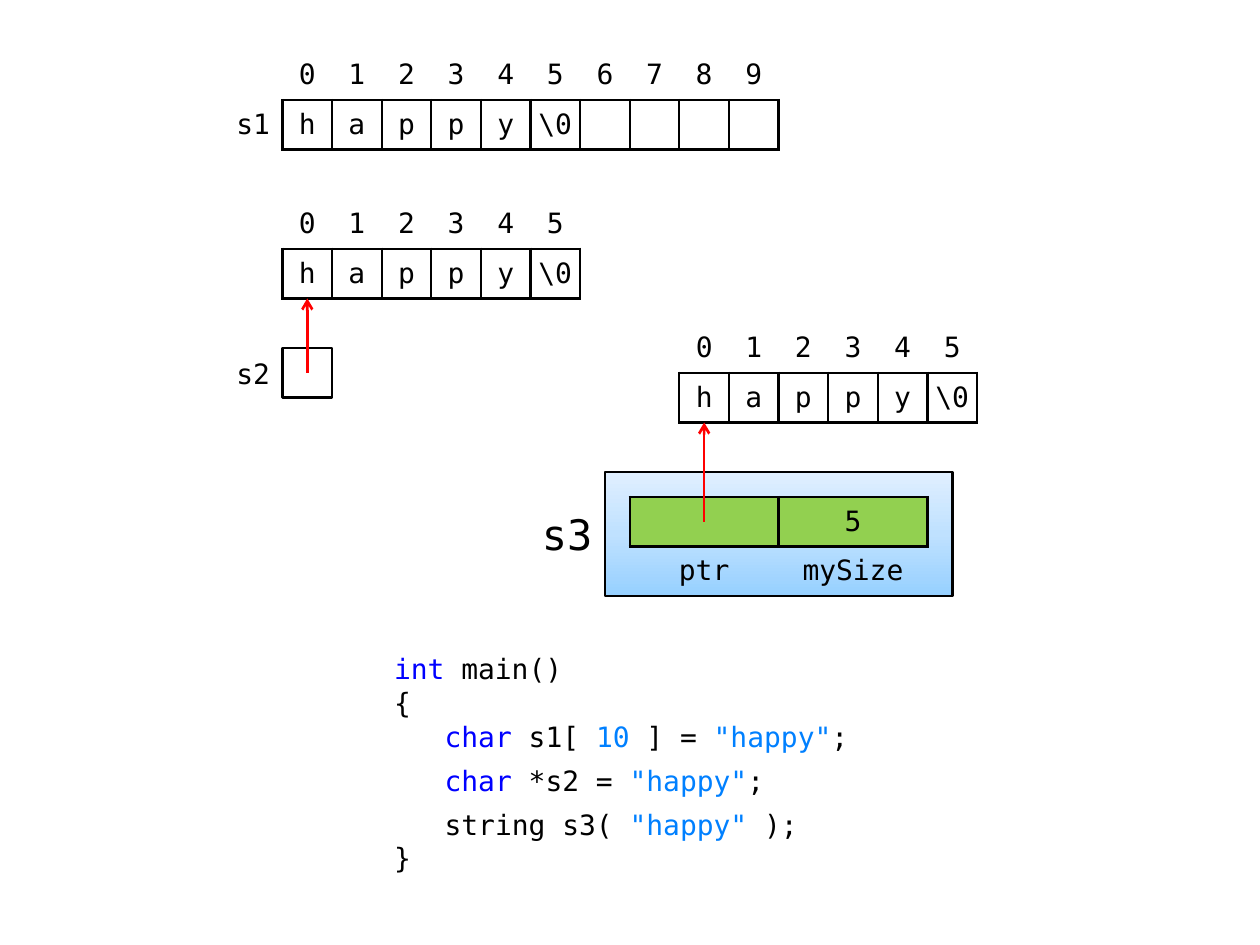
from copy import deepcopy

from lxml import etree
from pptx import Presentation
from pptx import util as u
from pptx.dml.color import RGBColor
from pptx.enum import shapes, text
from pptx.oxml.ns import qn

BLACK = RGBColor(0x00, 0x00, 0x00)
WHITE = RGBColor(0xFF, 0xFF, 0xFF)
RED = RGBColor(0xFF, 0x00, 0x00)
GREEN = RGBColor(0x92, 0xD0, 0x50)
KEYWORD = RGBColor(0x00, 0x00, 0xFF)
LITERAL = RGBColor(0x00, 0x80, 0xFF)
SKY = [RGBColor(0x96, 0xD0, 0xFF), RGBColor(0xBF, 0xE1, 0xFF), RGBColor(0xE0, 0xEF, 0xFF)]

ALIGN = text.PP_ALIGN
CELL = 28.35
LEFT, TOP = 161.4, 28.8
SIDES = {"a:lnL": (0, -1), "a:lnR": (0, 1), "a:lnT": (-1, 0), "a:lnB": (1, 0)}


def add_run(p, content, size=16, color=BLACK, font="DejaVu Sans Mono"):
    r = p.add_run()
    r.text = content
    r.font.size = u.Pt(size)
    r.font.name = font
    r.font.color.rgb = color


def span(*cells):
    return [u.Pt(round(n * CELL, 2)) for n in cells]


def place(col, row):
    return u.Pt(round(LEFT + col * CELL, 2)), u.Pt(round(TOP + row * CELL, 2))


class Diagram:
    line_width = u.Pt(1.5)
    inset = u.Pt(3)

    def __init__(self, slide):
        self.shapes = slide.shapes

    def box(self, col, row, width, height, fill=WHITE, line=BLACK):
        sp = self.shapes.add_shape(shapes.MSO_SHAPE.RECTANGLE,
                                   *place(col, row), *span(width, height))
        sp.shadow.inherit = False
        sp.fill.solid()
        sp.fill.fore_color.rgb = fill
        sp.line.color.rgb = line
        sp.line.width = self.line_width
        return sp

    def gradient_box(self, col, row, width, height, colors):
        sp = self.box(col, row, width, height)
        sp.fill.gradient()
        sp.fill.gradient_angle = 90
        stops = sp._element.spPr.find(qn("a:gradFill")).find(qn("a:gsLst"))
        stops.insert(1, deepcopy(stops[0]))
        for i, (stop, color) in enumerate(zip(sp.fill.gradient_stops, colors)):
            stop.position = i / 2
            stop.color.rgb = color

    def label(self, col, row, width, height, content, size=16):
        tf = self.box(col, row, width, height, line=WHITE).text_frame
        tf.vertical_anchor = text.MSO_ANCHOR.MIDDLE
        p = tf.paragraphs[0]
        p.alignment = ALIGN.RIGHT
        add_run(p, content, size=size)

    def arrow(self, col, start, end):
        cxn = self.shapes.add_connector(shapes.MSO_CONNECTOR.STRAIGHT,
                                        *place(col, start), *place(col, end))
        cxn.line.color.rgb = RED
        cxn.line.width = self.line_width
        etree.SubElement(cxn.line._get_or_add_ln(), qn("a:tailEnd"), type="arrow")
        etree.SubElement(cxn._element.spPr, qn("a:effectLst"))

    def border(self, cell, side, visible):
        tc_pr = cell._tc.get_or_add_tcPr()
        ln = etree.SubElement(tc_pr, qn(side), w=str(self.line_width))
        if visible:
            fill = etree.SubElement(ln, qn("a:solidFill"))
            etree.SubElement(fill, qn("a:srgbClr"), val=str(BLACK))
        else:
            etree.SubElement(ln, qn("a:noFill"))

    def table(self, col, row, rows, widths, boxed_row, label_cols=0, fill=None):
        frame = self.shapes.add_table(len(rows), len(widths), *place(col, row),
                                      *span(sum(widths), len(rows)))
        table = frame.table
        table.first_row = table.horz_banding = False
        for column, width in zip(table.columns, span(*widths)):
            column.width = width
        boxed = {(boxed_row, c) for c in range(label_cols, len(widths))}
        for r, values in enumerate(rows):
            table.rows[r].height = span(1)[0]
            for c, value in enumerate(values):
                cell = table.cell(r, c)
                is_label = c < label_cols
                cell.margin_top = cell.margin_bottom = 0
                cell.margin_left = cell.margin_right = u.Pt(7.2) if is_label else self.inset
                cell.vertical_anchor = text.MSO_ANCHOR.MIDDLE
                for side, (dr, dc) in SIDES.items():
                    self.border(cell, side, boxed & {(r, c), (r + dr, c + dc)})
                if fill and (r, c) in boxed:
                    cell.fill.solid()
                    cell.fill.fore_color.rgb = fill
                else:
                    cell.fill.background()
                if value:
                    p = cell.text_frame.paragraphs[0]
                    p.alignment = ALIGN.RIGHT if is_label else ALIGN.CENTER
                    add_run(p, value)

    def char_array(self, col, row, length=6, name=None):
        chars = [*"happy", "\\0"]
        rows = [[str(i) for i in range(length)], chars + [""] * (length - len(chars))]
        widths = [1] * length
        if name:
            rows = [["", *rows[0]], [name, *rows[1]]]
            widths = [2, *widths]
        self.table(col, row, rows, widths, boxed_row=1, label_cols=1 if name else 0)

    def code(self, col, row, width, height, lines):
        tf = self.shapes.add_textbox(*place(col, row), *span(width, height)).text_frame
        tf.word_wrap = True
        for i, (indent, before, runs) in enumerate(lines):
            p = tf.paragraphs[0] if i == 0 else tf.add_paragraph()
            p.space_before = u.Pt(before)
            p._p.get_or_add_pPr().set("marL", str(u.Pt(indent)))
            for content, color in runs:
                add_run(p, content, color=color)


MAIN = [
    (0, 0, [("int", KEYWORD), (" main()", BLACK)]),
    (0, 0, [("{", BLACK)]),
    (28.9, 0, [("char", KEYWORD), (" s1[ ", BLACK), ("10", LITERAL),
               (" ] = ", BLACK), ('"happy"', LITERAL), (";", BLACK)]),
    (28.9, 6, [("char", KEYWORD), (" *s2 = ", BLACK), ('"happy"', LITERAL), (";", BLACK)]),
    (28.9, 6, [("string s3( ", BLACK), ('"happy"', LITERAL), (" );", BLACK)]),
    (0, 0, [("}", BLACK)]),
]

prs = Presentation()
prs.slide_width, prs.slide_height = u.Pt(720), u.Pt(540)
d = Diagram(prs.slides.add_slide(prs.slide_layouts[6]))

d.code(2, 12, 10, 5, MAIN)
d.char_array(-2, 0, length=10, name="s1")

d.label(4.5, 9, 2, 1.5, "s3", size=24)
d.gradient_box(6.5, 8.5, 7, 2.5, SKY)
d.char_array(8, 5.5)
d.table(7, 9, [["", "5"], ["ptr", "mySize"]], [3, 3], boxed_row=0, fill=GREEN)
d.arrow(8.5, 9.5, 7.5)

d.char_array(0, 3)
d.label(-1.5, 6, 1.5, 1, "s2")
d.box(0, 6, 1, 1)
d.arrow(0.5, 6.5, 5)

prs.save("out.pptx")
